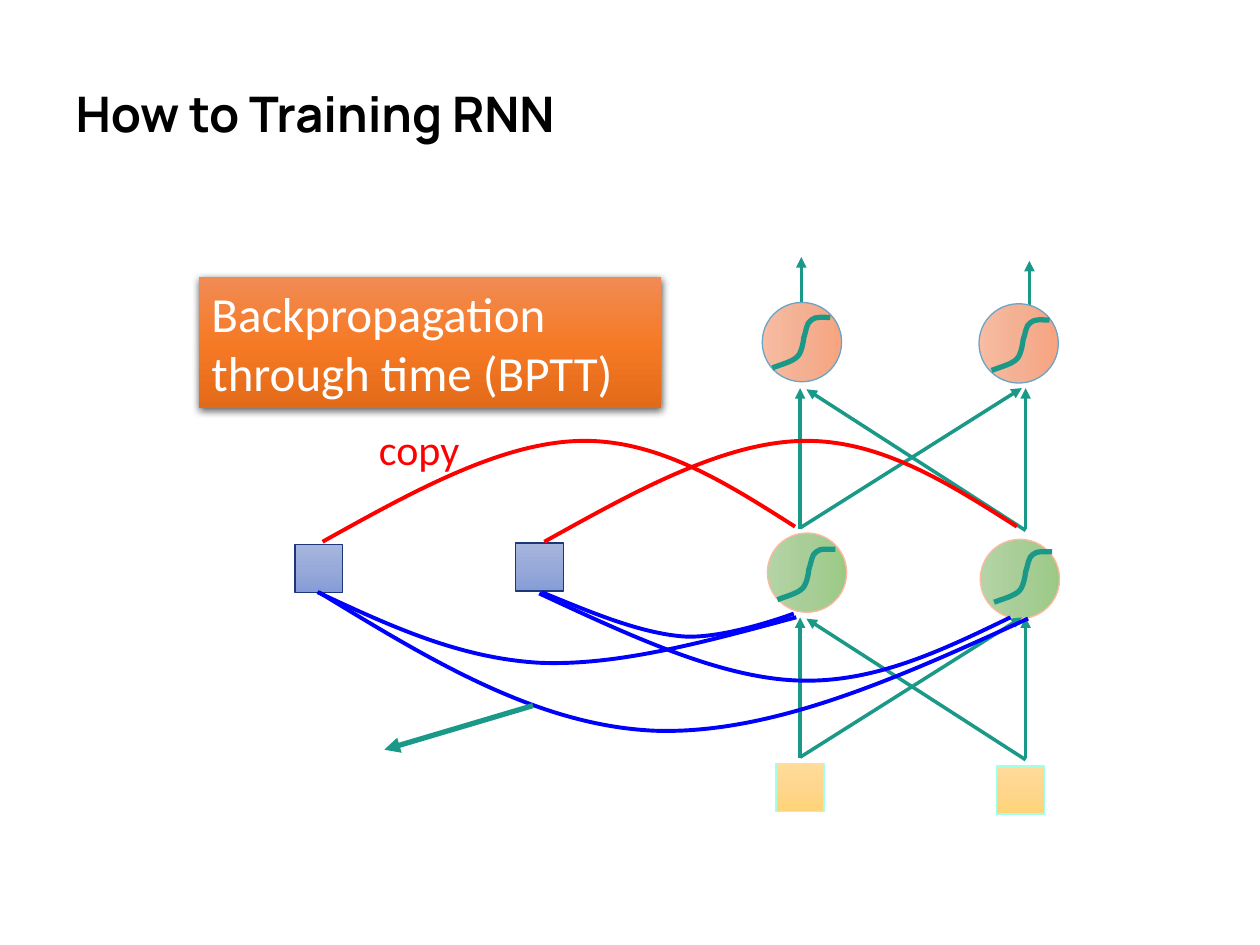
"""Draw a slide on training an RNN by backpropagation through time."""
from copy import deepcopy
from dataclasses import dataclass

from lxml import etree
from pptx import Presentation
from pptx.dml.color import RGBColor
from pptx.enum.shapes import MSO_CONNECTOR, MSO_SHAPE
from pptx.enum.text import MSO_ANCHOR, MSO_AUTO_SIZE, PP_ALIGN
from pptx.oxml.ns import qn
from pptx.util import Inches, Pt

LINE = MSO_CONNECTOR.STRAIGHT
RECT, OVAL = MSO_SHAPE.RECTANGLE, MSO_SHAPE.OVAL
LEFT = PP_ALIGN.LEFT
TOP, MID = MSO_ANCHOR.TOP, MSO_ANCHOR.MIDDLE
FIXED = MSO_AUTO_SIZE.NONE

Point = tuple[float, float]


@dataclass(frozen=True)
class Paint:
    stops: tuple[str, str, str]
    edge: str | None = None


@dataclass(frozen=True)
class Theme:
    head: str = "Manrope"
    body: str = "Calibri"
    big: float = 28
    small: float = 24
    black: str = "000000"
    white: str = "FFFFFF"
    teal: str = "1A9988"
    blue: str = "0000FF"
    red: str = "FF0000"
    thin: float = 0.75
    arrow: float = 2
    curve: float = 2.25
    thick: float = 3
    banner: Paint = Paint(("F08B54", "F67A26", "E36A18"))
    input: Paint = Paint(("FFDC9B", "FFD68D", "FFD478"), "A2FFE8")
    hidden: Paint = Paint(("B4D4A5", "A8CD97", "9BC985"), "FFB8A2")
    output: Paint = Paint(("F7BCA2", "F4B093", "F7A47F"), "6AA4C8")
    store: Paint = Paint(("A6B6DE", "98AAD9", "859CD7"), "1C3678")


@dataclass(frozen=True)
class Node:
    x: float
    y: float
    paint: Paint
    kind: int = RECT
    size: float = 0.38
    turn: float = 0


@dataclass(frozen=True)
class Curve:
    points: tuple[Point, ...]
    color: str
    width: float


THEME = Theme()
WAVE = ((0, 0.4), (0.08, 0.37), (0.16, 0.35), (0.2, 0.31),
        (0.24, 0.27), (0.25, 0.16), (0.25, 0.16),
        (0.27, 0.11), (0.27, 0.04), (0.31, 0.02),
        (0.34, -0.01), (0.4, 0), (0.46, 0))
ARC = ((3.75, 0.68), (3.2, 0.33), (2.65, -0.02), (2.03, 0),
       (1.4, 0.02), (0.7, 0.41), (0, 0.8))
CROSS = (((8.14, 4.21), (6.4, 3.09)), ((6.35, 4.19), (8.11, 3.08)),
         ((8.14, 4.2), (8.14, 3.08)), ((6.35, 4.2), (6.35, 3.08)))
LINKS = (
    ((4.3, 4.7), (4.69, 4.86), (5.07, 5.02), (5.41, 5.05),
     (5.74, 5.08), (6.3, 4.87), (6.3, 4.87)),
    ((4.28, 4.71), (4.99, 5.04), (5.69, 5.37), (6.31, 5.4),
     (6.93, 5.43), (7.48, 5.16), (8.02, 4.9)),
    ((2.52, 4.7), (3.08, 4.96), (3.63, 5.22), (4.27, 5.26),
     (4.9, 5.29), (5.61, 5.09), (6.32, 4.9)),
    ((2.53, 4.7), (3.4, 5.23), (4.26, 5.76), (5.2, 5.8),
     (6.14, 5.83), (7.15, 5.37), (8.16, 4.91)),
)


def shade(shape, paint: Paint) -> None:
    """Give a shape its three-stop fill and its edge."""
    shape.shadow.inherit = False
    fill = shape.fill
    fill.gradient()
    fill.gradient_angle = 270
    stops = shape._element.spPr.find(f".//{qn('a:gsLst')}")
    stops.insert(1, deepcopy(stops[0]))
    for rank, (stop, color) in enumerate(zip(fill.gradient_stops, paint.stops)):
        stop.position = rank / 2
        stop.color.rgb = RGBColor.from_string(color)
    if paint.edge:
        shape.line.color.rgb = RGBColor.from_string(paint.edge)
        shape.line.width = Pt(THEME.thin)
    else:
        shape.line.fill.background()


def cast(shape) -> None:
    """Add a soft drop shadow to a shape."""
    effects = shape._element.spPr.find(qn("a:effectLst"))
    shadow = etree.SubElement(effects, qn("a:outerShdw"), blurRad=str(Pt(4.5)),
                              dist=str(Pt(1.5)), dir="5400000", rotWithShape="0")
    color = etree.SubElement(shadow, qn("a:srgbClr"), val=THEME.black)
    etree.SubElement(color, qn("a:alpha"), val="63000")


def write(shape, text: str, font: str, size: float, color: str,
          anchor: int = TOP, bold: bool = False) -> None:
    """Set the text of a shape and its look."""
    frame = shape.text_frame
    frame.text = text
    frame.word_wrap = True
    frame.auto_size = FIXED
    frame.vertical_anchor = anchor
    part = frame.paragraphs[0]
    part.alignment = LEFT
    look = part.runs[0].font
    look.name, look.size, look.bold = font, Pt(size), bold
    look.color.rgb = RGBColor.from_string(color)


def add_node(slide, node: Node) -> None:
    """Draw one unit of the network."""
    shape = slide.shapes.add_shape(node.kind, Inches(node.x), Inches(node.y),
                                   Inches(node.size), Inches(node.size))
    shape.rotation = node.turn
    shade(shape, node.paint)


def add_arrow(slide, start: Point, end: Point, width: float = THEME.arrow) -> None:
    """Draw a straight arrow from start to end."""
    arrow = slide.shapes.add_connector(LINE, *map(Inches, (*start, *end)))
    arrow.line.color.rgb = RGBColor.from_string(THEME.teal)
    arrow.line.width = Pt(width)
    etree.SubElement(arrow.line._get_or_add_ln(), qn("a:tailEnd"), type="triangle")
    etree.SubElement(arrow._element.spPr, qn("a:effectLst"))


def bend(shape, points: list[tuple[int, int]]) -> None:
    """Turn the straight parts of a freeform into cubic curves."""
    parts = shape._element.spPr.findall(f".//{qn('a:lnTo')}")
    for rank, part in enumerate(parts):
        cubic = etree.Element(qn("a:cubicBezTo"))
        for x, y in points[3 * rank + 1:3 * rank + 4]:
            etree.SubElement(cubic, qn("a:pt"),
                             x=str(x - shape.left), y=str(y - shape.top))
        part.getparent().replace(part, cubic)


def add_curve(slide, curve: Curve) -> None:
    """Draw one open curve."""
    points = [(Inches(x), Inches(y)) for x, y in curve.points]
    build = slide.shapes.build_freeform(*points[0])
    build.add_line_segments(points[3::3], close=False)
    shape = build.convert_to_shape()
    bend(shape, points)
    shape.shadow.inherit = False
    shape.fill.background()
    shape.line.color.rgb = RGBColor.from_string(curve.color)
    shape.line.width = Pt(curve.width)


def shift(points: tuple[Point, ...], x: float, y: float) -> tuple[Point, ...]:
    """Move points by x and y."""
    return tuple((px + x, py + y) for px, py in points)


def main() -> None:
    """Build the slide and save it."""
    deck = Presentation()
    deck.slide_width, deck.slide_height = Inches(10), Inches(7.5)
    slide = deck.slides.add_slide(deck.slide_layouts[5])
    title = slide.shapes.title
    title.left, title.top, title.width, title.height = map(Inches, (0.5, 0.3, 9, 1.25))
    write(title, "How to Training RNN", THEME.head, THEME.big, THEME.black, MID, True)
    title.text_frame.paragraphs[0].line_spacing = 0.9
    banner = slide.shapes.add_shape(RECT, *map(Inches, (1.58, 2.2, 3.67, 1.04)))
    shade(banner, THEME.banner)
    cast(banner)
    write(banner, "Backpropagation through time (BPTT)", THEME.body, THEME.big, THEME.white)
    add_arrow(slide, (8.17, 2.79), (8.17, 2.07))
    add_arrow(slide, (6.36, 2.75), (6.36, 2.04))
    for x, y in ((6.16, 6.06), (7.91, 6.08)):
        add_node(slide, Node(x, y, THEME.input))
    for x, y, paint in ((6.09, 4.23, THEME.hidden), (7.78, 4.28, THEME.hidden),
                        (6.05, 2.4, THEME.output), (7.77, 2.41, THEME.output)):
        add_node(slide, Node(x, y, paint, OVAL, 0.63, 270))
    for x, y in ((2.34, 4.32), (4.09, 4.31)):
        add_node(slide, Node(x, y, THEME.store))
    for drop in (1.82, 0):
        for ends in CROSS:
            add_arrow(slide, *shift(ends, 0, drop))
    for link in LINKS:
        add_curve(slide, Curve(link, THEME.blue, THEME.curve))
    for x, y in ((6.13, 2.52), (7.87, 2.54), (7.89, 4.38), (6.17, 4.36)):
        add_curve(slide, Curve(shift(WAVE, x, y), THEME.teal, THEME.thick))
    for x in (2.56, 4.32):
        add_curve(slide, Curve(shift(ARC, x, 3.5), THEME.red, THEME.curve))
    label = slide.shapes.add_textbox(*map(Inches, (2.91, 3.31, 1.06, 0.5)))
    write(label, "copy", THEME.body, THEME.small, THEME.red)
    add_arrow(slide, (4.23, 5.6), (3.05, 5.95), THEME.thick)
    deck.save("out.pptx")


if __name__ == "__main__":
    main()
